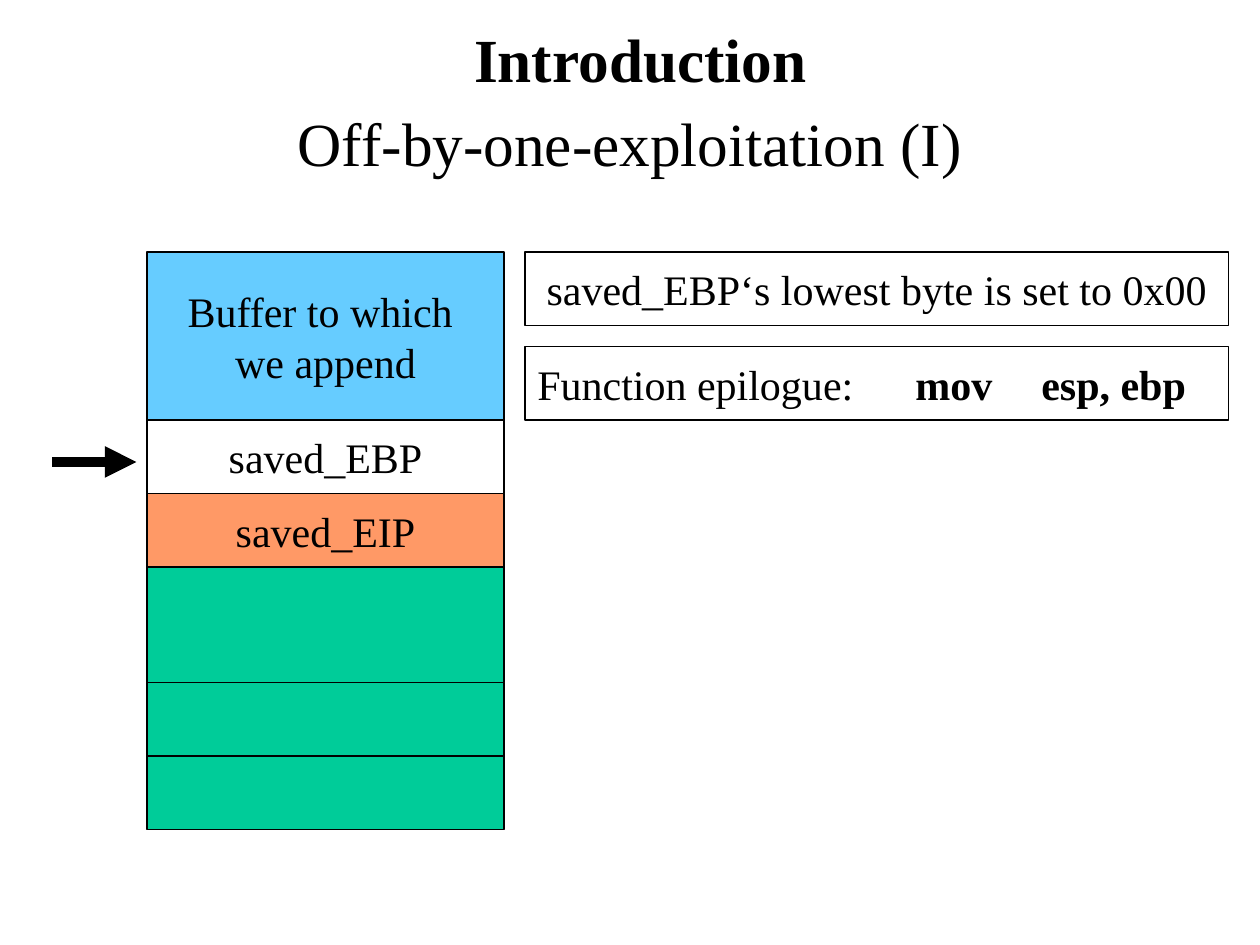
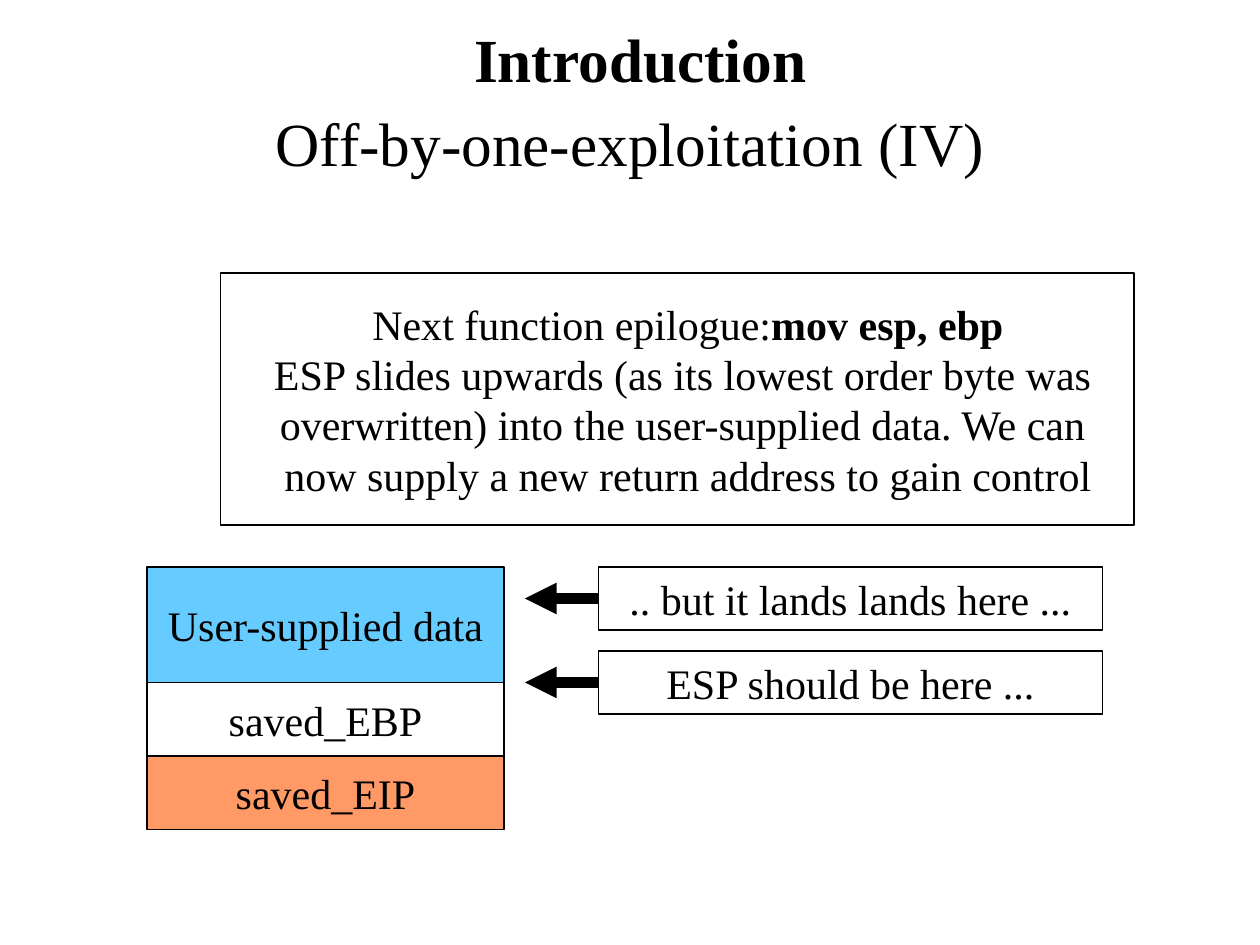
"""Build two slides on off-by-one exploitation with stack diagrams."""
from lxml.etree import SubElement
from pptx import Presentation
from pptx.dml.color import RGBColor
from pptx.enum.shapes import MSO_CONNECTOR, MSO_SHAPE
from pptx.enum.text import MSO_ANCHOR, PP_ALIGN
from pptx.oxml.ns import qn
from pptx.util import Emu, Pt

PX = 7620
FONT = "Times New Roman"
BLACK, WHITE = "000000", "FFFFFF"
BLUE, ORANGE, GREEN = "66CCFF", "FF9966", "00CC99"
STACK_LEFT, STACK_WIDTH = 140, 340
INSET, TAB = 12, 120

SAVED_REGISTERS = [(70, WHITE, ["saved_EBP"]), (70, ORANGE, ["saved_EIP"])]

SLIDES = [
    {
        "title": "Off-by-one-exploitation (I)",
        "stack_top": 240,
        "stack": [
            (160, BLUE, ["Buffer to which ", "we append"]),
            *SAVED_REGISTERS,
            (110, GREEN, []),
            (70, GREEN, []),
            (70, GREEN, []),
        ],
        "arrows": [(50, 130, 440)],
        "notes": [
            {"box": (500, 240, 670, 70), "line": 1,
             "lines": ["saved_EBP‘s lowest byte is set to 0x00"]},
            {"box": (500, 330, 670, 70), "align": PP_ALIGN.LEFT, "tabs": range(1, 8),
             "lines": [[("Function epilogue:\t", False), ("mov\tesp, ebp", True)]]},
        ],
    },
    {
        "title": "Off-by-one-exploitation (IV)",
        "stack_top": 540,
        "stack": [(110, BLUE, ["User-supplied data"]), *SAVED_REGISTERS],
        "arrows": [(584, 500, 570), (584, 500, 650)],
        "notes": [
            {"box": (210, 260, 870, 240), "indent": 20,
             "lines": [
                 [("Next function epilogue:", False), ("mov esp, ebp", True)],
                 "ESP slides upwards (as its lowest order byte was ",
                 "overwritten) into the user-supplied data. We can ",
                 "now supply a new return address to gain control",
             ]},
            {"box": (570, 540, 480, 60), "lines": [".. but it lands lands here ..."]},
            {"box": (570, 620, 480, 60), "lines": ["ESP should be here ..."]},
        ],
    },
]


def px(value):
    return Emu(value * PX)


def color(hex_string):
    return RGBColor.from_string(hex_string)


def write(shape, lines, size=24, align=PP_ALIGN.CENTER, indent=0, tabs=()):
    frame = shape.text_frame
    frame.word_wrap = True
    frame.vertical_anchor = MSO_ANCHOR.MIDDLE
    frame.margin_left, frame.margin_right = px(INSET + indent), px(INSET)
    frame.margin_top = frame.margin_bottom = px(INSET // 2)
    for index, line in enumerate(lines):
        paragraph = frame.add_paragraph() if index else frame.paragraphs[0]
        paragraph.alignment = align
        if tabs:
            tab_list = SubElement(paragraph._p.get_or_add_pPr(), qn("a:tabLst"))
            for stop in tabs:
                SubElement(tab_list, qn("a:tab"), pos=str(px(stop * TAB)), algn="l")
        for text, bold in [(line, False)] if isinstance(line, str) else line:
            run = paragraph.add_run()
            run.text = text
            run.font.name, run.font.size, run.font.bold = FONT, Pt(size), bold
            run.font.color.rgb = color(BLACK)


def add_heading(slide, box, text, bold):
    write(slide.shapes.add_textbox(*map(px, box)), [[(text, bold)]], size=35)


def add_box(slide, box, fill, lines, line=0.75, **text_options):
    shape = slide.shapes.add_shape(MSO_SHAPE.RECTANGLE, *map(px, box))
    shape.shadow.inherit = False
    shape.fill.solid()
    shape.fill.fore_color.rgb = color(fill)
    shape.line.color.rgb = color(BLACK)
    shape.line.width = Pt(line)
    write(shape, lines, **text_options)


def add_arrow(slide, start, end, y):
    arrow = slide.shapes.add_connector(
        MSO_CONNECTOR.STRAIGHT, px(start), px(y), px(end), px(y))
    arrow.line.color.rgb = color(BLACK)
    arrow.line.width = Pt(6)
    SubElement(arrow.line._get_or_add_ln(), qn("a:tailEnd"), type="triangle")
    SubElement(arrow._element.spPr, qn("a:effectLst"))


def add_stack(slide, top, cells):
    for height, fill, lines in cells:
        add_box(slide, (STACK_LEFT, top, STACK_WIDTH, height), fill, lines)
        top += height


def main():
    presentation = Presentation()
    presentation.slide_width, presentation.slide_height = px(1200), px(900)
    for content in SLIDES:
        slide = presentation.slides.add_slide(presentation.slide_layouts[6])
        add_heading(slide, (90, 60, 1020, 150), content["title"], False)
        add_heading(slide, (100, 0, 1020, 110), "Introduction", True)
        add_stack(slide, content["stack_top"], content["stack"])
        for arrow in content["arrows"]:
            add_arrow(slide, *arrow)
        for note in content["notes"]:
            add_box(slide, fill=WHITE, **note)
    presentation.save("out.pptx")


if __name__ == "__main__":
    main()
